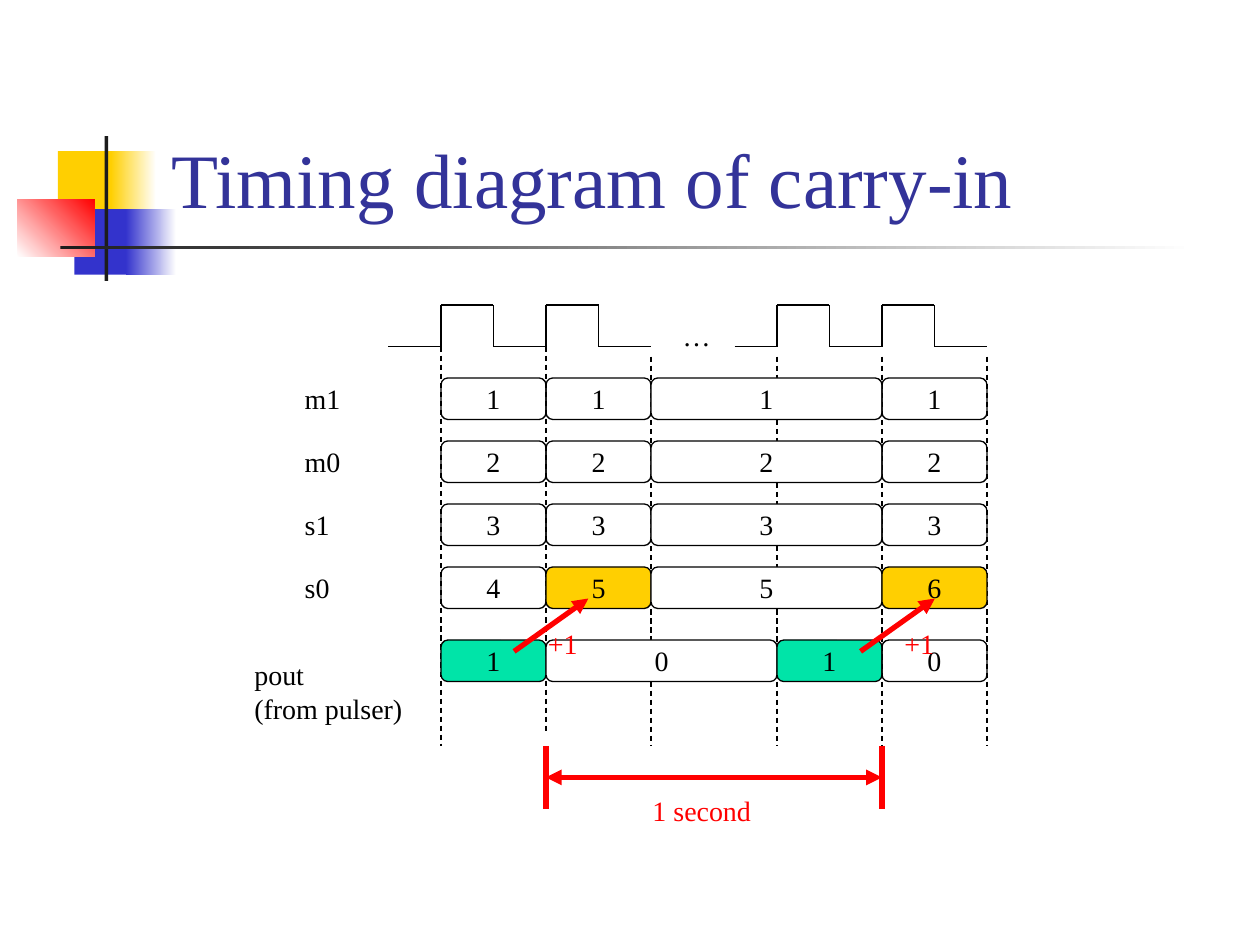
from pptx import Presentation
from pptx.dml.color import RGBColor
from pptx.enum.dml import MSO_LINE
from pptx.enum.shapes import MSO_CONNECTOR, MSO_SHAPE
from pptx.enum.text import MSO_ANCHOR, MSO_AUTO_SIZE, PP_ALIGN
from pptx.oxml.ns import qn
from pptx.util import Inches, Pt
from lxml.etree import SubElement

BLACK, WHITE, RED = "000000", "FFFFFF", "FF0000"
GOLD, BLUE, GREEN, DARK = "FFCF01", "3333CC", "00E4A8", "1C1C1C"
color = RGBColor.from_string

deck = Presentation()
deck.slide_width, deck.slide_height = Inches(10), Inches(7.5)
slide = deck.slides.add_slide(deck.slide_layouts[6])
shapes = slide.shapes


def write(shape, words, hue=BLACK, size=16, align=PP_ALIGN.LEFT):
    frame = shape.text_frame
    frame.word_wrap = False
    frame.text = words
    for para in frame.paragraphs:
        para.alignment = align
        para.font.name = "Times New Roman"
        para.font.size = Pt(size)
        para.font.color.rgb = color(hue)
    return frame


def draw(start, end, hue=BLACK, width=0.75, dash=False, heads=()):
    points = [Inches(v) for v in (*start, *end)]
    line = shapes.add_connector(MSO_CONNECTOR.STRAIGHT, *points)
    line.line.color.rgb = color(hue)
    line.line.width = Pt(width)
    if dash:
        line.line.dash_style = MSO_LINE.DASH
    for head in heads:
        SubElement(line.line._get_or_add_ln(), qn("a:" + head), type="triangle")
    SubElement(line._element.spPr, qn("a:effectLst"))


# Corner ornament and title rule: place, first colour, last colour, angle
for place, first, last, angle in [
    ((0.46, 1.2, 0.48, 0.52), GOLD, None, 0),
    ((0.88, 1.2, 0.36, 0.52), GOLD, WHITE, 0),
    ((0.59, 1.66, 0.46, 0.52), BLUE, None, 0),
    ((1, 1.66, 0.4, 0.52), BLUE, WHITE, 0),
    ((0.14, 1.58, 0.61, 0.46), WHITE, RED, 45),
    ((0.83, 1.08, 0.03, 1.15), DARK, None, 0),
    ((0.48, 1.95, 9, 0.03), DARK, WHITE, 0),
]:
    block = shapes.add_shape(MSO_SHAPE.RECTANGLE, *map(Inches, place))
    block.shadow.inherit = False
    block.line.fill.background()
    if last:
        block.fill.gradient()
        block.fill.gradient_angle = angle
        for stop, hue in zip(block.fill.gradient_stops, (first, last)):
            stop.color.rgb = color(hue)
    else:
        block.fill.solid()
        block.fill.fore_color.rgb = color(first)

# Title
title = shapes.add_textbox(Inches(1.26), Inches(0.23), Inches(8.52), Inches(1.6))
frame = write(title, "Timing diagram of carry-in", "333399", 44)
frame.word_wrap = True
frame.vertical_anchor = MSO_ANCHOR.BOTTOM

# Time grid: cycles of equal length around a longer gap
half = 5 / 12
cycle = 2 * half
edges = [3.5, 3.5 + cycle, 3.5 + 2 * cycle, 7 - cycle, 7, 7 + cycle]
low, high, bottom = 2.75, 2.42, 5.92

# Clock wave
draw((edges[0] - half, low), (edges[0], low))
draw((5.83, low), (edges[3], low))
for index in (0, 1, 3, 4):
    x = edges[index]
    wave = [(x, low), (x, high), (x + half, high), (x + half, low), (x + cycle, low)]
    for start, end in zip(wave, wave[1:]):
        draw(start, end)

# Dashed time marks
for index, x in enumerate(edges):
    top = low if index < 2 else 2.83
    draw((x, top), (x, 5.83 if index == 1 else bottom), dash=True)

# Signal values: top of row, edge numbers, values, marked cells
wide = (0, 1, 2, 4, 5)
for top, marks, values, fills in [
    (3, wide, "1111", {}),
    (3.5, wide, "2222", {}),
    (4, wide, "3333", {}),
    (4.5, wide, "4556", {1: GOLD, 3: GOLD}),
    (5.08, (0, 1, 3, 4, 5), "1010", {0: GREEN, 2: GREEN}),
]:
    for index, value in enumerate(values):
        left, right = edges[marks[index]], edges[marks[index + 1]]
        cell = shapes.add_shape(MSO_SHAPE.ROUNDED_RECTANGLE, Inches(left),
                                Inches(top), Inches(right - left), Inches(0.33))
        cell.shadow.inherit = False
        cell.line.color.rgb = color(BLACK)
        cell.line.width = Pt(0.75)
        hue = fills.get(index, WHITE if right - left > 1 else None)
        if hue:
            cell.fill.solid()
            cell.fill.fore_color.rgb = color(hue)
        else:
            cell.fill.background()
        write(cell, value, align=PP_ALIGN.CENTER).vertical_anchor = MSO_ANCHOR.MIDDLE

# Carry arrows
for x in (4.08, 6.83):
    draw((x, 5.17), (x + 0.59, 4.75), RED, 3, heads=["tailEnd"])

# One second span
for x in (edges[1], edges[4]):
    draw((x, bottom), (x, 6.42), RED, 3)
draw((edges[1], 6.17), (edges[4], 6.17), RED, 3, heads=["headEnd", "tailEnd"])

# Labels
for words, left, top, width, height, hue in [
    ("m1", 2.32, 2.98, 0.49, 0.37, BLACK),
    ("m0", 2.32, 3.48, 0.49, 0.37, BLACK),
    ("s1", 2.32, 3.98, 0.4, 0.37, BLACK),
    ("s0", 2.32, 4.48, 0.4, 0.37, BLACK),
    ("pout\n(from pulser)", 1.92, 5.17, 1.39, 0.64, BLACK),
    ("…", 5.32, 2.48, 0.42, 0.37, BLACK),
    ("+1", 4.25, 4.92, 0.44, 0.37, RED),
    ("+1", 7.08, 4.92, 0.44, 0.37, RED),
    ("1 second", 5.08, 6.25, 0.99, 0.37, RED),
]:
    label = shapes.add_textbox(*map(Inches, (left, top, width, height)))
    write(label, words, hue).auto_size = MSO_AUTO_SIZE.SHAPE_TO_FIT_TEXT

deck.save("out.pptx")
